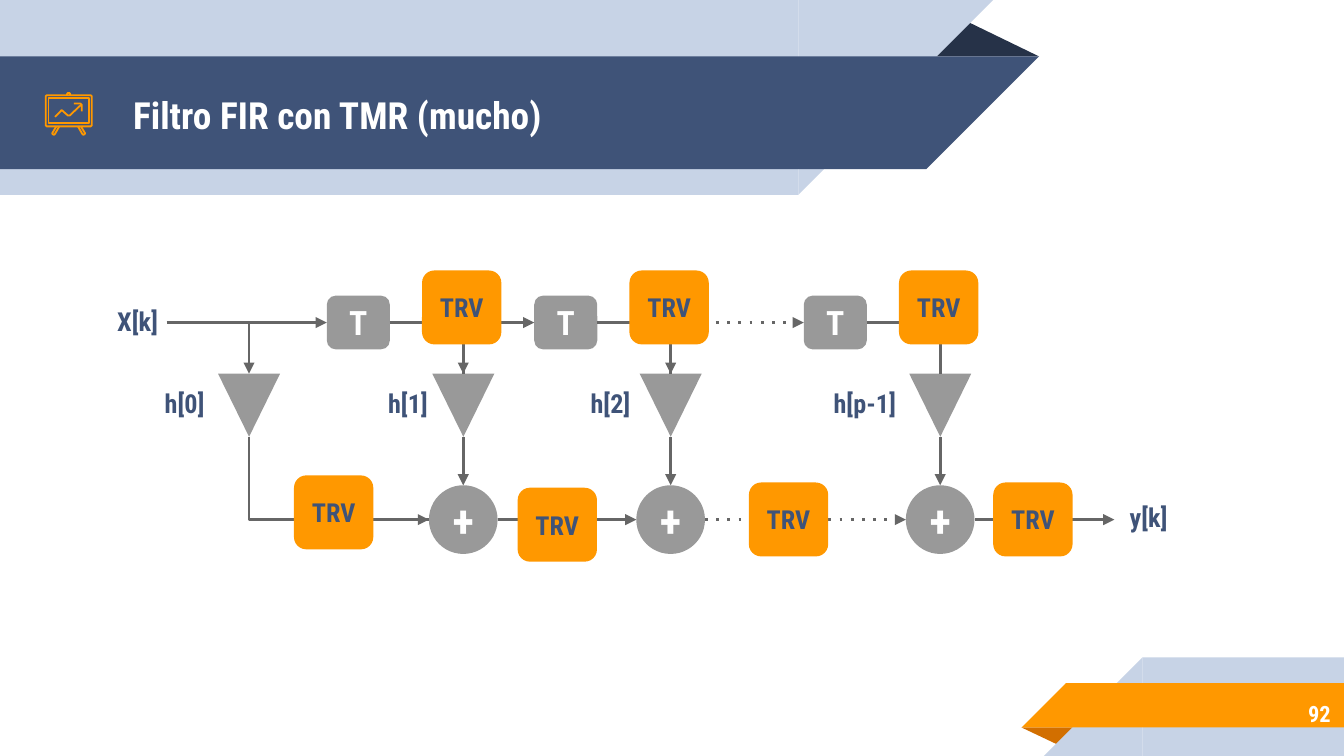
from lxml.etree import SubElement
from pptx import Presentation
from pptx.dml.color import RGBColor
from pptx.enum.shapes import MSO_CONNECTOR, MSO_SHAPE
from pptx.enum.text import MSO_ANCHOR, MSO_AUTO_SIZE, PP_ALIGN
from pptx.oxml.ns import qn
from pptx.util import Pt

color = RGBColor.from_string
NAVY, PALE, DARK, WHITE = "3F5378", "C7D3E6", "263248", "FFFFFF"
ORANGE, RUST, GRAY, LINE = "FF9800", "D26F00", "999999", "666666"
RECT, CORNER, PEAK = MSO_SHAPE.RECTANGLE, MSO_SHAPE.RIGHT_TRIANGLE, MSO_SHAPE.ISOSCELES_TRIANGLE
ROUND, OVAL = MSO_SHAPE.ROUNDED_RECTANGLE, MSO_SHAPE.OVAL

deck = Presentation()
deck.slide_width, deck.slide_height = Pt(720), Pt(405)
slide = deck.slides.add_slide(deck.slide_layouts[5])
shapes = slide.shapes


def put(kind, x, y, w, h, fill=None, text="", size=14, ink=NAVY,
        align=PP_ALIGN.CENTER, anchor=MSO_ANCHOR.MIDDLE, turn=0):
    place = [Pt(v) for v in (x, y, w, h)]
    if kind == "title":
        shape = shapes.title
        shape.left, shape.top, shape.width, shape.height = place
        tree = shape.element.getparent()
        tree.append(shape.element)
    elif kind == "text":
        shape = shapes.add_textbox(*place)
    else:
        shape = shapes.add_shape(kind, *place)
        shape.shadow.inherit = False
        shape.fill.solid()
        shape.fill.fore_color.rgb = color(fill)
        shape.line.fill.background()
        shape.rotation = turn
    if text:
        frame = shape.text_frame
        look = {"word_wrap": True, "auto_size": MSO_AUTO_SIZE.NONE, "vertical_anchor": anchor}
        look.update({"margin_" + side: Pt(7.2) for side in ("left", "top", "right", "bottom")})
        for key, value in look.items():
            setattr(frame, key, value)
        frame.text = text
        para = frame.paragraphs[0]
        para.alignment = align
        font = para.runs[0].font
        for key, value in {"name": "Roboto Condensed", "size": Pt(size), "bold": True}.items():
            setattr(font, key, value)
        font.color.rgb = color(ink)
    return shape


def link(x1, y1, x2, y2, head=True, dot=False, bent=False):
    kind = MSO_CONNECTOR.ELBOW if bent else MSO_CONNECTOR.STRAIGHT
    wire = shapes.add_connector(kind, Pt(x1), Pt(y1), Pt(x2), Pt(y2))
    wire.line.color.rgb = color(LINE)
    wire.line.width = Pt(1.5)
    props = wire.element.find(qn("p:spPr"))
    if bent:
        props.find(qn("a:prstGeom")).set("prst", "bentConnector2")
    ln = props.find(qn("a:ln"))
    if dot:
        SubElement(ln, qn("a:prstDash"), val="dot")
    if head:
        SubElement(ln, qn("a:tailEnd"), type="triangle")
    SubElement(props, qn("a:effectLst"))
    return wire


for kind, x, y, w, h, fill, turn in [
    (PEAK, 495.4, 10, 61.2, 20.2, DARK, 0),
    (RECT, 0, 0, 427.7, 104.4, PALE, 0),
    (CORNER, 427.7, 0, 104.4, 104.4, PALE, 90),
    (RECT, 0, 30.2, 496.1, 60.5, NAVY, 0),
    (CORNER, 496.1, 30.2, 60.5, 60.5, NAVY, 90),
    (PEAK, 547.2, 389.7, 31, 10, RUST, 180),
    (RECT, 612, 352.2, 108, 52.8, PALE, 0),
    (CORNER, 559.2, 352.2, 52.8, 52.8, PALE, 270),
    (RECT, 571, 366, 149, 23.7, ORANGE, 0),
    (CORNER, 547.3, 366, 23.7, 23.7, ORANGE, 270),
]:
    part = put(kind, x, y, w, h, fill, turn=turn)
    if kind == PEAK:
        part.adjustments[0] = 0.32

put("title", 64.1, 31, 414, 60.5, text="Filtro FIR con TMR (mucho)", size=20, ink=WHITE,
    align=PP_ALIGN.LEFT)
put("text", 602.6, 369.6, 117.4, 25.2, text="92", size=12, ink=WHITE, align=PP_ALIGN.RIGHT)

board = [(25, 51.1), (48.7, 51.1), (49.2, 51.6), (49.2, 67.2), (48.7, 67.7),
         (25, 67.7), (24.5, 67.2), (24.5, 51.6)]
inner = [(26, 52.7), (26, 66), (47.7, 66), (47.7, 52.7)]
knob = [(37.6, 51.1), (37.6, 50.3), (37.1, 49.8), (36.5, 49.8), (36, 50.3), (36, 51.1)]
leg = [(30.2, 67.7), (28, 71.4), (28.3, 72), (29, 72.2), (29.5, 71.8), (31.8, 67.7)]
twin = [(73.6 - x, y) for x, y in leg]
trend = [(43.4, 56.2), (37.4, 61.9), (36.4, 61.9), (33.1, 59), (29.5, 62.6)]
tip = [(39.6, 55.5), (43.2, 55.5), (43.8, 56.1), (43.8, 59.6)]
for dots in (board, knob, leg, twin, inner, trend, tip):
    pts = [(Pt(x), Pt(y)) for x, y in dots]
    pen = shapes.build_freeform(*pts[0])
    pen.add_line_segments(pts[1:], close=dots in (board, inner))
    icon = pen.convert_to_shape()
    icon.shadow.inherit = False
    icon.fill.background()
    icon.line.color.rgb = color(ORANGE)
    icon.line.width = Pt(0.96)

first, *taps = 133.4, 248.2, 359.3, 503.7
top, base, rad = 172.8, 278.4, 18.4
for mid in (first, *taps):
    put(PEAK, mid - 16.6, 200.2, 33.2, 33.8, GRAY, turn=180)
delays = []
for mid in taps:
    delays.append(put(ROUND, mid - 73.1, top - 14.4, 33.8, 28.8, GRAY, "T", 18, WHITE))
    put(OVAL, mid - rad, base - rad, 2 * rad, 2 * rad, GRAY, "+", 24, WHITE)
    link(mid, 234, mid, base - rad)
    link(mid - 39.3, top, mid, 200.2, head=False, bent=True)

for mid in (first, *taps[:2]):
    link(mid, top, mid, 200.2)
link(89.3, top, 175.1, top).end_connect(delays[0], 1)
pair = link(208.9, top, 286.2, top)
pair.begin_connect(delays[0], 3)
pair.end_connect(delays[1], 1)
link(353.5, top, 430.6, top, dot=True).end_connect(delays[2], 1)

link(taps[0] - rad, base, first, 234, head=False, bent=True)
link(first, base, taps[0] - rad, base)
link(taps[0] + rad, base, taps[1] - rad, base)
link(taps[1] + rad, base, taps[2] - rad, base, dot=True)
link(taps[2] + rad, base, 597, base)

for text, x, y, w in [
    ("X[k]", 55.4, 156.2, 36.7), ("h[0]", 80.6, 200.2, 36.7), ("h[1]", 200.2, 200.2, 36.7),
    ("h[2]", 308.7, 200.2, 36.7), ("h[p-1]", 436.3, 200.2, 54), ("y[k]", 597, 261.4, 36.7),
]:
    put("text", x, y, w, 33.8, text=text, anchor=MSO_ANCHOR.TOP)

voters = [(mid - 22.1, 144.9) for mid in taps]
voters += [(157.5, 254.7), (277.3, 261.3), (401.2, 258.5), (532.1, 258.5)]
for x, y in voters:
    put(ROUND, x, y, 42.5, 39.6, ORANGE, "TRV")

deck.save("out.pptx")
